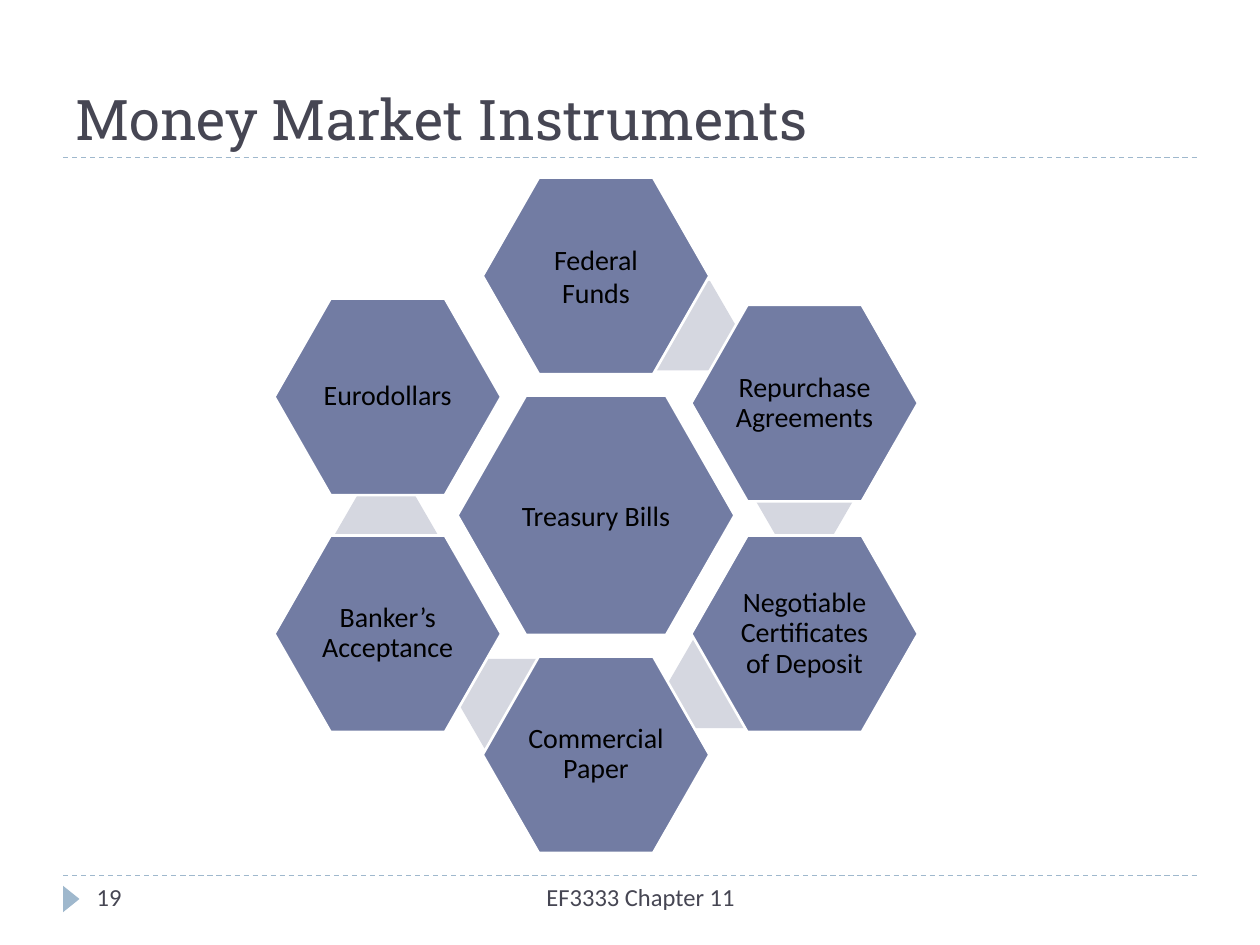
from lxml.etree import SubElement
from pptx import Presentation
from pptx.dml.color import RGBColor
from pptx.enum.dml import MSO_LINE
from pptx.enum.shapes import MSO_CONNECTOR, MSO_SHAPE
from pptx.enum.text import MSO_ANCHOR as Anchor, PP_ALIGN as Align
from pptx.oxml.ns import qn
from pptx.util import Pt

INK = RGBColor(0x46, 0x46, 0x53)
SKY = RGBColor(0x9F, 0xB8, 0xCD)
SLATE = RGBColor(0x72, 0x7C, 0xA3)
MIST = RGBColor(0xD5, 0xD7, 0xE0)
WHITE = RGBColor(0xFF, 0xFF, 0xFF)
BLACK = RGBColor(0, 0, 0)

HUB = (340.6, 294.5)
HUB_SIZE = (158.4, 136.8)
CELL_SIZE = (129.6, 112.3)
LINK_SIZE = (59.8, 51.1)
LEFT, RIGHT = 221.6, 459.8
INSTRUMENTS = [
    ("Federal Funds", (HUB[0], 157.7), (390.6, 186.1), 1.0),
    ("Repurchase Agreements", (RIGHT, 230.4), (459.7, 282.6), 0.9),
    ("Negotiable Certificates of Deposit", (RIGHT, 362.2), (411.5, 390.6), 0.9),
    ("Commercial Paper", (HUB[0], 431.3), (292, 402.1), 0.9),
    ("Banker’s Acceptance", (LEFT, 362.2), (220.7, 306.3), 0.9),
    ("Eurodollars", (LEFT, 226.8), None, 0.9),
]


class SlideBuilder:
    body_font = "Calibri"
    title_font = "Roboto Slab"

    def __init__(self, slide):
        self.shapes = slide.shapes

    def set_words(self, frame, words, color, size, font, align, spacing=1.0):
        frame.word_wrap = True
        paragraph = frame.paragraphs[0]
        paragraph.alignment = align
        paragraph.line_spacing = spacing
        run = paragraph.add_run()
        run.text = words
        for name, value in {"size": Pt(size), "name": font, "bold": False}.items():
            setattr(run.font, name, value)
        run.font.color.rgb = color

    def text(self, words, box, size=14, font=body_font, align=Align.LEFT, anchor=Anchor.TOP):
        frame = self.shapes.add_textbox(*map(Pt, box)).text_frame
        frame.vertical_anchor = anchor
        self.set_words(frame, words, INK, size, font, align)

    def rule(self, y):
        rule = self.shapes.add_connector(MSO_CONNECTOR.STRAIGHT, Pt(36), Pt(y), Pt(684), Pt(y))
        rule.line.color.rgb = SKY
        for name, value in {"width": Pt(0.75), "dash_style": MSO_LINE.DASH}.items():
            setattr(rule.line, name, value)
        SubElement(rule.element.spPr, qn("a:effectLst"))

    def preset(self, kind, center, size, fill):
        (x, y), (width, height) = center, size
        shape = self.shapes.add_shape(
            kind, Pt(x - width / 2), Pt(y - height / 2), Pt(width), Pt(height))
        shape.shadow.inherit = False
        shape.fill.solid()
        shape.fill.fore_color.rgb = fill
        shape.line.fill.background()
        return shape

    def marker(self, center, size):
        self.preset(MSO_SHAPE.ISOSCELES_TRIANGLE, center, size, SKY).rotation = 90

    def link(self, center):
        self.preset(MSO_SHAPE.HEXAGON, center, LINK_SIZE, MIST).adjustments[0] = 0.289

    def cell(self, words, center, size, spacing=1.0):
        cell = self.preset(MSO_SHAPE.HEXAGON, center, size, SLATE)
        cell.adjustments[0] = 0.286
        cell.line.color.rgb = WHITE
        cell.line.width = Pt(1.5)
        frame = cell.text_frame
        frame.vertical_anchor = Anchor.MIDDLE
        for side in ("left", "top", "right", "bottom"):
            setattr(frame, f"margin_{side}", Pt(1.44))
        self.set_words(frame, words, BLACK, 16, self.body_font, Align.CENTER, spacing)


def main():
    deck = Presentation()
    deck.slide_width, deck.slide_height = Pt(720), Pt(540)
    page = SlideBuilder(deck.slides.add_slide(deck.slide_layouts[6]))

    for y in (500.4, 90):
        page.rule(y)
    page.marker((40.7, 513.7), (15.1, 9.4))
    page.text("Money Market Instruments", (36, 12.2, 648, 77.8), 32,
              page.title_font, anchor=Anchor.BOTTOM)
    page.text("EF3333 Chapter 11", (228.2, 500.4, 275.8, 28.8), align=Align.CENTER)
    page.text("19", (48.2, 500.4, 156.2, 28.8))

    page.cell("Treasury Bills", HUB, HUB_SIZE)
    for words, center, link_center, spacing in INSTRUMENTS:
        if link_center:
            page.link(link_center)
        page.cell(words, center, CELL_SIZE, spacing)

    deck.save("out.pptx")


if __name__ == "__main__":
    main()
